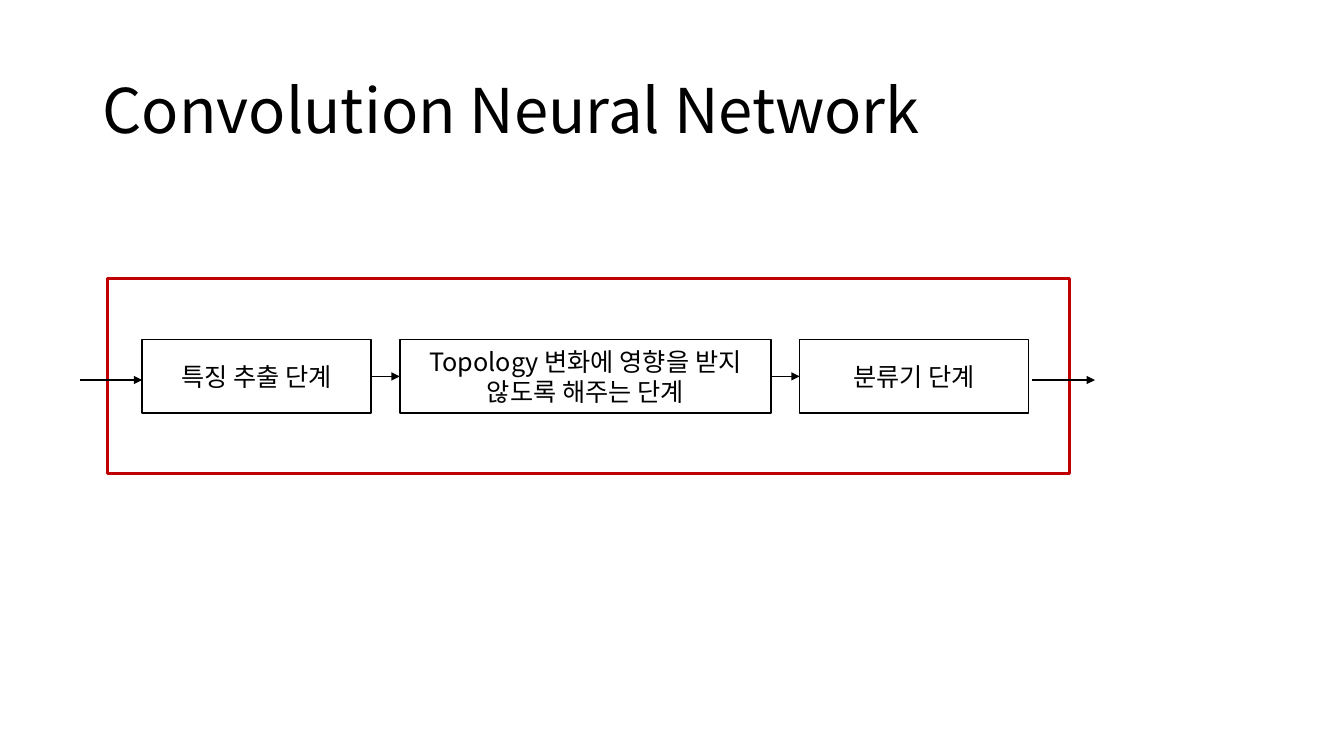
from dataclasses import dataclass

from lxml import etree
from pptx import Presentation
from pptx import util as u
from pptx.dml.color import RGBColor
from pptx.enum import shapes, text
from pptx.oxml.ns import qn

COLORS = {"ink": "000000", "frame": "C00000"}
FONT = "Noto Sans CJK KR"

deck = Presentation()
deck.slide_width, deck.slide_height = u.Inches(13.33), u.Inches(7.5)
slide = deck.slides.add_slide(deck.slide_layouts[6])


# Positions and sizes are percentages of the slide
def across(share: float) -> int:
    return round(deck.slide_width * share / 100)


def down(share: float) -> int:
    return round(deck.slide_height * share / 100)


@dataclass
class Area:
    left: float
    top: float
    width: float
    height: float

    def emu(self) -> tuple[int, int, int, int]:
        return across(self.left), down(self.top), across(self.width), down(self.height)


@dataclass
class Stage:
    label: str
    width: float


def write(shape, words: str, *, size: float, align=text.PP_ALIGN.LEFT, spacing: float = 1.0) -> None:
    frame = shape.text_frame
    frame.word_wrap = True
    frame.vertical_anchor = text.MSO_ANCHOR.MIDDLE
    paragraph = frame.paragraphs[0]
    paragraph.alignment, paragraph.line_spacing = align, spacing
    run = paragraph.add_run()
    run.text = words
    run.font.size, run.font.name = u.Pt(size), FONT
    run.font.color.rgb = RGBColor.from_string(COLORS["ink"])
    # Hangul takes its typeface from the East Asian font
    etree.SubElement(run.font._element, qn("a:ea"), typeface=FONT)


def draw_box(area: Area, color: str, weight: float):
    box = slide.shapes.add_shape(shapes.MSO_SHAPE.RECTANGLE, *area.emu())
    box.shadow.inherit = False
    box.fill.background()
    box.line.color.rgb = RGBColor.from_string(COLORS[color])
    box.line.width = u.Pt(weight)
    return box


def draw_arrow(start: float, end: float, level: float) -> None:
    arrow = slide.shapes.add_connector(
        shapes.MSO_CONNECTOR.STRAIGHT, across(start), down(level), across(end), down(level))
    arrow.line.color.rgb = RGBColor.from_string(COLORS["ink"])
    arrow.line.width = u.Pt(1)
    etree.SubElement(arrow.line._get_or_add_ln(), qn("a:tailEnd"), type="triangle")
    etree.SubElement(arrow._element.spPr, qn("a:effectLst"))


# Title
title = slide.shapes.add_textbox(*Area(6.9, 5.33, 86.27, 19.33).emu())
write(title, "Convolution Neural Network", size=44, spacing=0.9)

# Network frame
draw_box(Area(8.03, 36.8, 71.57, 25.87), "frame", 2.25)

# Stages from left to right, joined by arrows
STAGES = [
    Stage("특징 추출 단계", 17.03),
    Stage("Topology 변화에 영향을 받지 않도록 해주는 단계", 27.61),
    Stage("분류기 단계", 17.03),
]
FIRST_LEFT, GAP, TOP, HEIGHT = 10.58, 2.14, 44.93, 9.73

left = FIRST_LEFT
for index, stage in enumerate(STAGES):
    if index:
        draw_arrow(left - GAP, left, TOP + HEIGHT / 2)
    box = draw_box(Area(left, TOP, stage.width, HEIGHT), "ink", 1)
    write(box, stage.label, size=18, align=text.PP_ALIGN.CENTER)
    left += stage.width + GAP

# Input and output arrows
FLOW_LENGTH, FLOW_LEVEL = 4.65, 50.27
for start in (FIRST_LEFT - FLOW_LENGTH, 76.82):
    draw_arrow(start, start + FLOW_LENGTH, FLOW_LEVEL)

deck.save("out.pptx")
